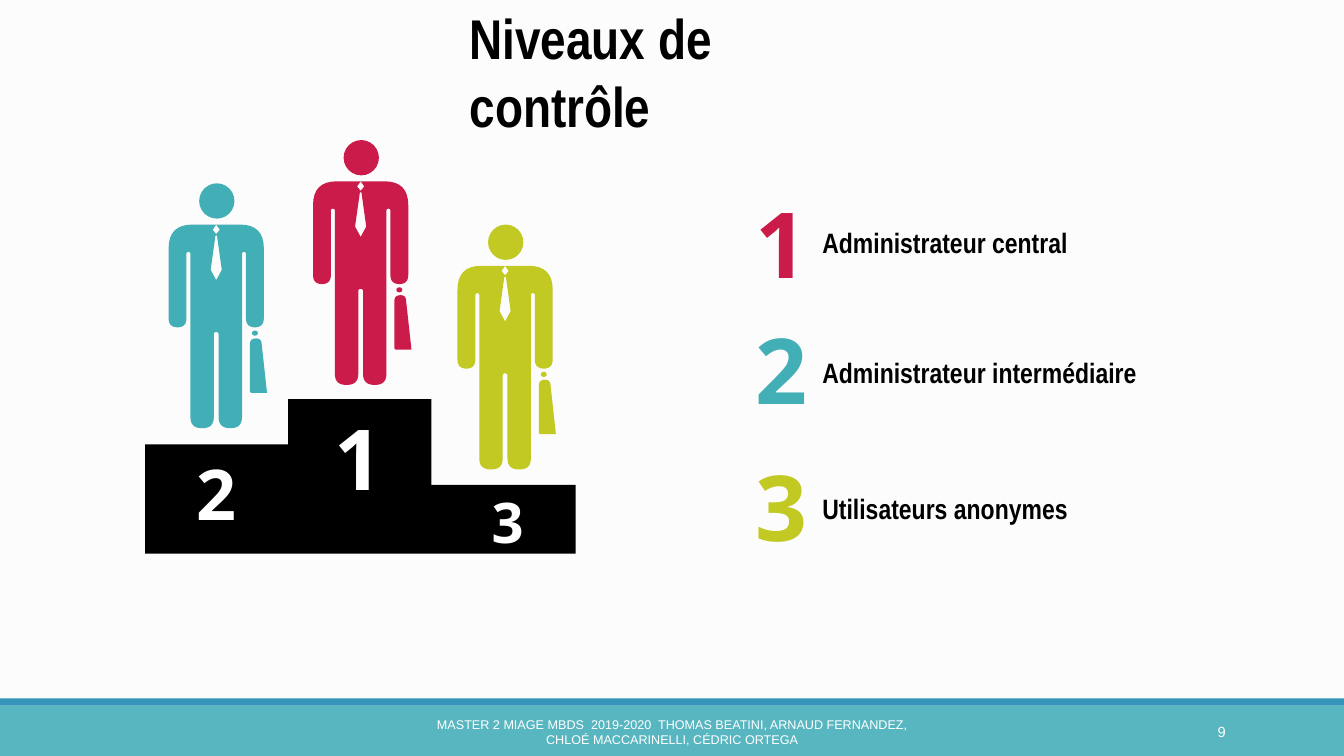
from math import dist

from lxml.etree import SubElement
from pptx import Presentation
from pptx.dml.color import RGBColor
from pptx.enum.shapes import MSO_SHAPE
from pptx.enum.text import MSO_ANCHOR, MSO_AUTO_SIZE, PP_ALIGN
from pptx.oxml.ns import qn
from pptx.util import Cm, Pt

RED, TEAL, LIME = "CB1B4A", "42AFB6", "C2C923"
BLACK, WHITE = "000000", "FFFFFF"

# Right half of each symmetric outline: distance from the axis, height, corner radius (cm)
BODY_HALF = [
    (0.06, 3.75, 0.06), (0.06, 6.17, 0.28), (0.65, 6.17, 0.28), (0.65, 1.73, 0.05),
    (0.75, 1.73, 0.05), (0.75, 3.63, 0.23), (1.2, 3.63, 0.23), (1.2, 1.04, 0.6),
]
TIE_HALF = [(0.02, 1.32, 0), (0.14, 2.18, 0), (0, 2.44, 0)]
KNOT_HALF = [(0, 1.04, 0), (0.09, 1.17, 0), (0, 1.28, 0)]
BRIEFCASE = [(1.28, 5.28, 0), (0.85, 5.28, 0.05), (0.85, 3.91, 0.15), (1.13, 3.91, 0.12)]


def colour(hex_code):
    return RGBColor.from_string(hex_code)


def paint(shape, hex_code):
    shape.shadow.inherit = False
    shape.fill.solid()
    shape.fill.fore_color.rgb = colour(hex_code)
    shape.line.fill.background()


def add_preset(shapes, kind, left, top, width, height, hex_code):
    shape = shapes.add_shape(kind, Cm(left), Cm(top), Cm(width), Cm(height))
    paint(shape, hex_code)


# Text
def add_span(para, text, size, font, hex_code, bold=True):
    span = para.add_run()
    span.text = text
    span.font.size = Pt(size)
    span.font.name = font
    span.font.bold = bold
    span.font.color.rgb = colour(hex_code)


def format_frame(box, anchor=MSO_ANCHOR.TOP):
    frame = box.text_frame
    frame.word_wrap = True
    frame.auto_size = MSO_AUTO_SIZE.NONE
    frame.vertical_anchor = anchor
    return frame


def add_text(page, bounds, text, size, font, hex_code, align=PP_ALIGN.CENTER,
             bold=True, anchor=MSO_ANCHOR.TOP):
    box = page.shapes.add_textbox(*map(Cm, bounds))
    para = format_frame(box, anchor).paragraphs[0]
    para.alignment = align
    add_span(para, text, size, font, hex_code, bold)


def place(box, left, top, width, height):
    box.left, box.top, box.width, box.height = map(Cm, (left, top, width, height))


def fill_title(page, text):
    title = page.shapes.title
    place(title, 11.58, -0.03, 10.72, 3.5)
    para = format_frame(title).paragraphs[0]
    para.alignment = PP_ALIGN.LEFT
    add_span(para, text, 40, "Arial Narrow", BLACK)


def fill_list(page, items):
    body = page.placeholders[1]
    place(body, 20.47, 5.56, 9.45, 7.8)
    frame = format_frame(body)
    for index, (text, gap) in enumerate(items):
        para = frame.add_paragraph() if index else frame.paragraphs[0]
        para.alignment = PP_ALIGN.LEFT
        para.space_before = Pt(gap)
        properties = para._p.get_or_add_pPr()
        properties.set("marL", "0")
        properties.set("indent", "0")
        SubElement(properties, qn("a:buNone"))
        add_span(para, text, 20, "Arial Narrow", BLACK)


# Outlines
def mirror(half):
    return half + [(-x, y, radius) for x, y, radius in reversed(half)]


def round_corners(corners, steps=8):
    points = []
    for index, (x, y, radius) in enumerate(corners):
        if not radius:
            points.append((x, y))
            continue
        ends = []
        for other in (corners[index - 1], corners[(index + 1) % len(corners)]):
            share = radius / dist((x, y), other[:2])
            ends.append((x + (other[0] - x) * share, y + (other[1] - y) * share))
        (x1, y1), (x2, y2) = ends
        for step in range(steps + 1):
            t = step / steps
            a, b, c = (1 - t) ** 2, 2 * t * (1 - t), t ** 2
            points.append((a * x1 + b * x + c * x2, a * y1 + b * y + c * y2))
    return points


def add_outline(shapes, axis, top, contours, hex_code):
    builder = None
    for corners in contours:
        points = [(Cm(axis + x), Cm(top + y)) for x, y in round_corners(corners)]
        if builder is None:
            builder = shapes.build_freeform(*points[0], scale=1.0)
        else:
            builder.move_to(*points[0])
        builder.add_line_segments(points[1:], close=True)
    paint(builder.convert_to_shape(), hex_code)


def add_businessman(page, axis, top, hex_code):
    shapes = page.shapes.add_group_shape().shapes
    body = [mirror(half) for half in (BODY_HALF, TIE_HALF, KNOT_HALF)]
    add_outline(shapes, axis, top, body, hex_code)
    add_preset(shapes, MSO_SHAPE.OVAL, axis - 0.43, top, 0.89, 0.89, hex_code)
    add_outline(shapes, axis, top, [BRIEFCASE], hex_code)
    add_preset(shapes, MSO_SHAPE.OVAL, axis + 0.9, top + 3.71, 0.15, 0.13, hex_code)


def add_footer(page):
    add_preset(page.shapes, MSO_SHAPE.RECTANGLE, 0, 17.78, 33.87, 1.27, "58B6C0")
    add_preset(page.shapes, MSO_SHAPE.RECTANGLE, 0, 17.6, 33.87, 0.18, "3494BA")
    add_text(page, (27.51, 17.93, 3.63, 1.02), "9", 10.5, "Arial", WHITE,
             PP_ALIGN.RIGHT, False, MSO_ANCHOR.MIDDLE)
    add_text(page, (10.24, 17.93, 13.39, 1.02),
             "MASTER 2 MIAGE MBDS  2019-2020  THOMAS BEATINI, ARNAUD FERNANDEZ, "
             "CHLOÉ MACCARINELLI, CÉDRIC ORTEGA", 9, "Arial", WHITE,
             bold=False, anchor=MSO_ANCHOR.MIDDLE)


def main():
    deck = Presentation()
    deck.slide_width, deck.slide_height = Cm(33.87), Cm(19.05)
    page = deck.slides.add_slide(deck.slide_layouts[1])
    page.background.fill.solid()
    page.background.fill.fore_color.rgb = colour("FCFCFC")
    add_footer(page)
    fill_title(page, "Niveaux de contrôle")

    # Podium
    for step in [(3.66, 11.2, 3.61, 2.01), (7.26, 10.06, 3.61, 3.17),
                 (3.66, 12.22, 10.85, 1.73)]:
        add_preset(page.shapes, MSO_SHAPE.RECTANGLE, *step, BLACK)
    for index, (top, hex_code) in enumerate([(4.62, TEAL), (3.53, RED), (5.66, LIME)]):
        add_businessman(page, 5.45 + 3.64 * index, top, hex_code)
    for rank, left, top, height, size in [("3", 11.15, 12.17, 1.96, 40),
                                          ("1", 7.39, 10.13, 2.82, 60),
                                          ("2", 3.81, 11.23, 2.39, 50)]:
        add_text(page, (left, top, 3.28, height), rank, size, "Open Sans", WHITE)

    # Legend
    for rank, top, hex_code in [("1", 4.6, RED), ("2", 7.77, TEAL), ("3", 11.23, LIME)]:
        add_text(page, (17.78, top, 3.81, 3.02), rank, 65, "Open Sans", hex_code)
    fill_list(page, [("Administrateur central", 0), ("Administrateur intermédiaire", 69),
                     ("Utilisateurs anonymes", 72.5)])
    deck.save("out.pptx")


if __name__ == "__main__":
    main()
